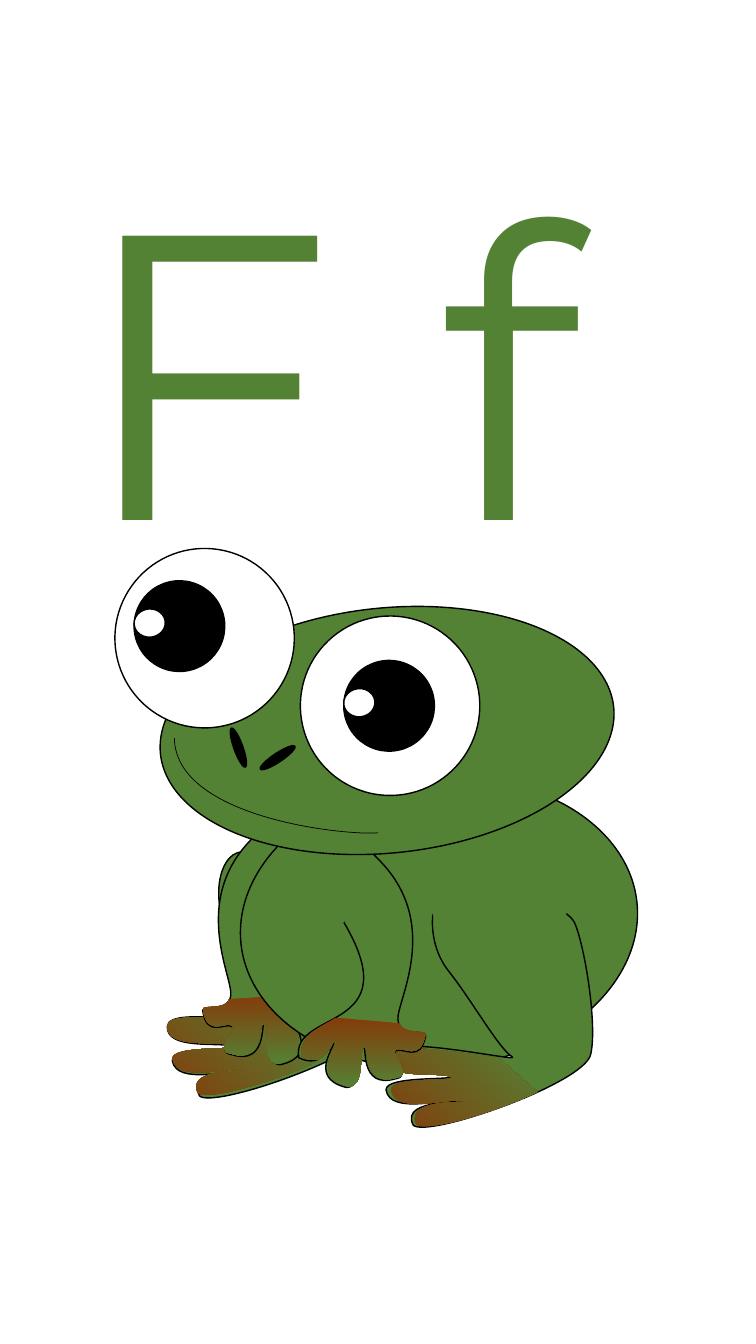
from lxml.etree import SubElement
from pptx import Presentation
from pptx.dml.color import RGBColor
from pptx.enum.shapes import MSO_SHAPE
from pptx.enum.text import MSO_ANCHOR, PP_ALIGN
from pptx.oxml.ns import qn
from pptx.util import Inches, Pt

COLORS = {
    "frog": "548235",
    "toes": "843C0B",
    "ink": "000000",
    "white": "FFFFFF",
}
TILT = 354.1

# Outlines in inches: a start point, then lines (x, y) and
# Bezier curves (control 1, control 2, end).
LEG = [
    (4.45, 9.63),
    (4.21, 9.33, 4.26, 8.83, 4.47, 8.75),
    (4.68, 8.67, 5.59, 8.93, 5.70, 9.15),
    (5.80, 9.37, 5.93, 10.17, 5.86, 10.46),
    (5.79, 10.75, 4.24, 11.29, 4.10, 11.16),
    (3.95, 10.87, 4.74, 10.95, 4.57, 10.92),
    (4.41, 10.89, 3.87, 11.06, 3.83, 10.81),
    (3.82, 10.66, 4.59, 10.72, 4.45, 10.67),
    (4.30, 10.62, 3.77, 10.71, 3.78, 10.47),
    (3.79, 10.22, 5.20, 10.55, 5.08, 10.48),
    (4.95, 10.40, 4.68, 9.92, 4.45, 9.63),
]
FOOT = [
    (3.96, 10.41),
    (3.88, 10.42, 3.83, 10.44, 3.83, 10.49),
    (3.82, 10.72, 4.33, 10.63, 4.47, 10.68),
    (4.61, 10.73, 3.87, 10.67, 3.88, 10.81),
    (3.92, 11.06, 4.43, 10.89, 4.59, 10.92),
    (4.75, 10.95, 4.00, 10.87, 4.13, 11.15),
    (4.22, 11.23, 4.83, 11.06, 5.29, 10.85),
    (5.33, 10.83),
    (4.96, 10.50),
    (4.93, 10.49),
    (4.68, 10.46, 4.19, 10.37, 3.96, 10.41),
]
ARM = [
    (2.54, 8.28),
    (3.21, 7.65, 3.67, 7.73, 3.75, 7.81),
    (3.82, 7.88, 3.06, 8.32, 2.98, 8.74),
    (2.04, 10.03, 3.37, 9.77, 3.26, 10.28),
    (3.01, 10.39, 2.98, 10.13, 2.93, 10.11),
    (2.85, 10.10, 3.20, 10.47, 2.78, 10.56),
    (2.59, 10.55, 2.71, 10.15, 2.62, 10.16),
    (2.59, 10.14, 2.65, 10.57, 2.30, 10.46),
    (2.11, 10.43, 2.38, 10.22, 2.30, 10.18),
    (2.23, 10.14, 2.05, 10.30, 2.01, 10.02),
    (2.02, 9.96, 2.27, 10.05, 2.29, 9.87),
    (2.31, 9.69, 1.87, 8.90, 2.54, 8.28),
]
HAND = [
    (2.91, 9.87),
    (2.27, 9.91),
    (2.27, 9.92),
    (2.21, 10.02, 2.02, 9.96, 2.01, 10.01),
    (2.06, 10.29, 2.23, 10.13, 2.30, 10.17),
    (2.37, 10.21, 2.11, 10.42, 2.29, 10.45),
    (2.63, 10.56, 2.58, 10.13, 2.60, 10.15),
    (2.69, 10.14, 2.57, 10.54, 2.76, 10.55),
    (3.17, 10.46, 2.83, 10.09, 2.90, 10.10),
    (2.96, 10.12, 2.98, 10.38, 3.23, 10.27),
    (3.27, 10.08, 3.11, 10.00, 2.95, 9.90),
    (2.91, 9.87),
]
MOUTH = [(1.73, 7.32), (1.74, 8.12, 3.45, 8.29, 3.75, 8.26)]


def color(name):
    return RGBColor.from_string(COLORS[name])


def in_place(x, y):
    return x, y


def shifted(dx, dy):
    return lambda x, y: (x + dx, y + dy)


def mirrored(x, y):
    """Flip a left limb to the right side, turned by 0.03 radians."""
    return 6.3 - 0.03 * (y - 7.8) - x, y + 0.25 - 0.03 * (x - 2)


def set_outline(shape, width):
    shape.shadow.inherit = False
    if width:
        shape.line.color.rgb = color("ink")
        shape.line.width = Pt(width)
    else:
        shape.line.fill.background()


def bend(part, outline):
    """Merge each curve's three straight steps into one Bezier curve."""
    steps = iter(part.element.findall(".//" + qn("a:lnTo")))
    for segment in outline[1:]:
        step = next(steps)
        if len(segment) == 2:
            continue
        curve = SubElement(step.getparent(), qn("a:cubicBezTo"))
        step.addprevious(curve)
        for corner in (step, next(steps), next(steps)):
            curve.append(corner[0])
            corner.getparent().remove(corner)


def add_outline(slide, outline, place=in_place, line=1, closed=True):
    points = [
        tuple(Inches(v) for v in place(*segment[i:i + 2]))
        for segment in outline for i in range(0, len(segment), 2)]
    builder = slide.shapes.build_freeform(*points[0])
    builder.add_line_segments(points[1:], close=closed)
    part = builder.convert_to_shape()
    bend(part, outline)
    set_outline(part, line)
    if closed:
        part.fill.solid()
        part.fill.fore_color.rgb = color("frog")
    else:
        part.fill.background()
    return part


def add_toes(slide, outline, place, angle):
    """Add a hand or foot fading from brown to green along the angle."""
    fill = add_outline(slide, outline, place, line=0).fill
    fill.gradient()
    fill.gradient_angle = angle
    for stop, name in zip(fill.gradient_stops, ("toes", "frog")):
        stop.color.rgb = color(name)


def add_oval(slide, left, top, width, height, turn=TILT, fill="frog", line=1):
    oval = slide.shapes.add_shape(
        MSO_SHAPE.OVAL, *map(Inches, (left, top, width, height)))
    oval.rotation = turn
    oval.fill.solid()
    oval.fill.fore_color.rgb = color(fill)
    set_outline(oval, line)


def add_leg(slide, place_leg=in_place, place_foot=in_place):
    add_outline(slide, LEG, place_leg)
    add_toes(slide, FOOT, place_foot, angle=47)


def add_pupil(slide, left, top):
    add_oval(slide, left, top, 0.9, 0.9, fill="ink")
    add_oval(slide, left, top + 0.28, 0.31, 0.28, fill="white")


def add_letters(slide):
    letters = slide.shapes.title
    letters.left, letters.top = Inches(0.66), Inches(1.08)
    letters.width, letters.height = Inches(7.93), Inches(4.98)
    frame = letters.text_frame
    frame.text = "F f"
    frame.vertical_anchor = MSO_ANCHOR.TOP
    frame.word_wrap = False
    paragraph = frame.paragraphs[0]
    paragraph.alignment = PP_ALIGN.LEFT
    paragraph.font.name = "Montserrat"
    paragraph.font.size = Pt(290)
    paragraph.font.color.rgb = color("frog")


def add_body(slide):
    add_leg(slide, shifted(-2.12, -0.29), shifted(-2.17, -0.31))
    add_outline(slide, ARM)
    add_oval(slide, 2.67, 8.27, 0.72, 1.17, turn=355.1, line=0)
    add_toes(slide, HAND, in_place, angle=270)
    add_oval(slide, 2.38, 7.72, 3.95, 2.87)
    add_leg(slide)
    add_outline(slide, ARM, mirrored)
    add_toes(slide, HAND, mirrored, angle=270)
    add_oval(slide, 2.77, 8.24, 0.72, 1.17, turn=6.4, line=0)


def add_head(slide):
    add_oval(slide, 1.58, 6.03, 4.52, 2.43)
    for left, top in ((1.14, 5.44), (2.98, 6.11)):
        add_oval(slide, left, top, 1.78, 1.78, fill="white")
    for left, top, turn in ((2.55, 7.47, 326.5), (2.16, 7.37, 70.4)):
        add_oval(slide, left, top, 0.41, 0.09, turn, fill="ink")
    add_outline(slide, MOUTH, line=0.5, closed=False)
    for left, top in ((3.41, 6.55), (1.33, 5.76)):
        add_pupil(slide, left, top)


def main():
    deck = Presentation()
    deck.slide_width, deck.slide_height = Inches(7.5), Inches(13.33)
    slide = deck.slides.add_slide(deck.slide_layouts[5])
    add_letters(slide)
    add_body(slide)
    add_head(slide)
    add_oval(slide, 4.5, 8.3, 0.89, 1.36, turn=94.7, line=0)
    deck.save("out.pptx")


if __name__ == "__main__":
    main()
